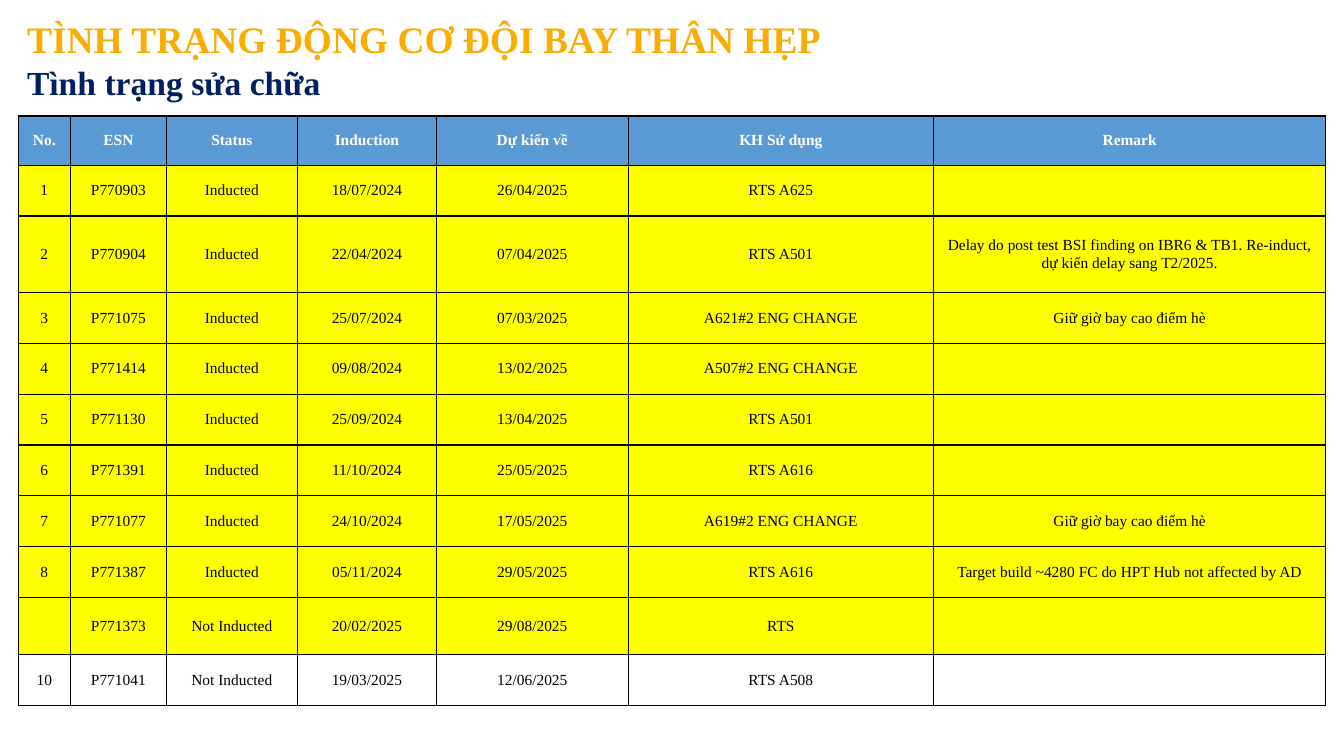
import pptx
import pptx.dml.color
import pptx.enum.text
import pptx.oxml
import pptx.oxml.ns
import pptx.util
from pptx.util import Inches

HEADER = ["No.", "ESN", "Status", "Induction", "Dự kiến về", "KH Sử dụng", "Remark"]
ENGINES = [
    ["1", "P770903", "Inducted", "18/07/2024", "26/04/2025", "RTS A625", ""],
    ["2", "P770904", "Inducted", "22/04/2024", "07/04/2025", "RTS A501",
     "Delay do post test BSI finding on IBR6 & TB1. Re-induct, dự kiến delay sang T2/2025."],
    ["3", "P771075", "Inducted", "25/07/2024", "07/03/2025", "A621#2 ENG CHANGE",
     "Giữ giờ bay cao điểm hè"],
    ["4", "P771414", "Inducted", "09/08/2024", "13/02/2025", "A507#2 ENG CHANGE", ""],
    ["5", "P771130", "Inducted", "25/09/2024", "13/04/2025", "RTS A501", ""],
    ["6", "P771391", "Inducted", "11/10/2024", "25/05/2025", "RTS A616", ""],
    ["7", "P771077", "Inducted", "24/10/2024", "17/05/2025", "A619#2 ENG CHANGE",
     "Giữ giờ bay cao điểm hè"],
    ["8", "P771387", "Inducted", "05/11/2024", "29/05/2025", "RTS A616",
     "Target build ~4280 FC do HPT Hub not affected by AD"],
    ["", "P771373", "Not Inducted", "20/02/2025", "29/08/2025", "RTS", ""],
    ["10", "P771041", "Not Inducted", "19/03/2025", "12/06/2025", "RTS A508", ""],
]
COL_WIDTHS = [0.52, 0.95, 1.3, 1.38, 1.9, 3.03, 3.89]
TABLE_HEIGHT = 5.85
SPECIAL_ROWS = {0: 0.49, 2: 0.76, 9: 0.57}


def rgb(color):
    return pptx.dml.color.RGBColor.from_string(color)


class Deck:
    font = "Times New Roman"
    cell_size = 11
    header_fill, done_fill = "5B9BD5", "FFFF00"
    border = "000000"

    def __init__(self, prs):
        self.s = prs.slides.add_slide(prs.slide_layouts[6])

    def run(self, p, text, size, color, bold=False):
        r = p.add_run()
        r.text = text
        r.font.name = self.font
        r.font.size = pptx.util.Pt(size)
        r.font.bold = bold
        r.font.color.rgb = rgb(color)

    def heading(self, text, x, y, w, h, size, color):
        tf = self.s.shapes.add_textbox(Inches(x), Inches(y), Inches(w), Inches(h)).text_frame
        tf.word_wrap = True
        tf.auto_size = pptx.enum.text.MSO_AUTO_SIZE.SHAPE_TO_FIT_TEXT
        self.run(tf.paragraphs[0], text, size, color, True)

    def borders(self, cell):
        # Borders come before the fill in the cell properties
        tcPr = cell._tc.get_or_add_tcPr()
        for i, side in enumerate(("lnL", "lnR", "lnT", "lnB")):
            tcPr.insert(i, pptx.oxml.parse_xml(
                f'<a:{side} {pptx.oxml.ns.nsdecls("a")} w="12700"><a:solidFill>'
                f'<a:srgbClr val="{self.border}"/></a:solidFill></a:{side}>'))

    def cell(self, cell, text, fill, color, bold):
        cell.vertical_anchor = pptx.enum.text.MSO_ANCHOR.MIDDLE
        cell.margin_left = cell.margin_right = Inches(0.13)
        cell.margin_top = cell.margin_bottom = Inches(0.07)
        if fill:
            cell.fill.solid()
            cell.fill.fore_color.rgb = rgb(fill)
        else:
            cell.fill.background()
        self.borders(cell)
        p = cell.text_frame.paragraphs[0]
        p.alignment = pptx.enum.text.PP_ALIGN.CENTER
        if text:
            self.run(p, text, self.cell_size, color, bold)

    def table(self, rows, x, y):
        table = self.s.shapes.add_table(
            len(rows), len(COL_WIDTHS), Inches(x), Inches(y),
            Inches(sum(COL_WIDTHS)), Inches(TABLE_HEIGHT)).table
        table.horz_banding = False
        for col, width in zip(table.columns, COL_WIDTHS):
            col.width = Inches(width)
        # Ordinary rows share the height left by the special ones
        plain = (TABLE_HEIGHT - sum(SPECIAL_ROWS.values())) / (len(rows) - len(SPECIAL_ROWS))
        for i, row in enumerate(rows):
            table.rows[i].height = Inches(SPECIAL_ROWS.get(i, plain))
            head, last = i == 0, i == len(rows) - 1
            fill = self.header_fill if head else None if last else self.done_fill
            for j, text in enumerate(row):
                self.cell(table.cell(i, j), text, fill, "FFFFFF" if head else "000000", head)


def main():
    prs = pptx.Presentation()
    prs.slide_width, prs.slide_height = Inches(13.33), Inches(7.5)
    deck = Deck(prs)
    # Subtitle
    deck.heading("Tình trạng sửa chữa", 0.17, 0.57, 4.67, 0.5, 24, "002060")
    # Engine repair status
    deck.table([HEADER] + ENGINES, 0.18, 1.15)
    # Title
    deck.heading("TÌNH TRẠNG ĐỘNG CƠ ĐỘI BAY THÂN HẸP", 0.17, 0.11, 12.99, 0.55, 26.7, "FBAC00")
    prs.save("out.pptx")


if __name__ == "__main__":
    main()
